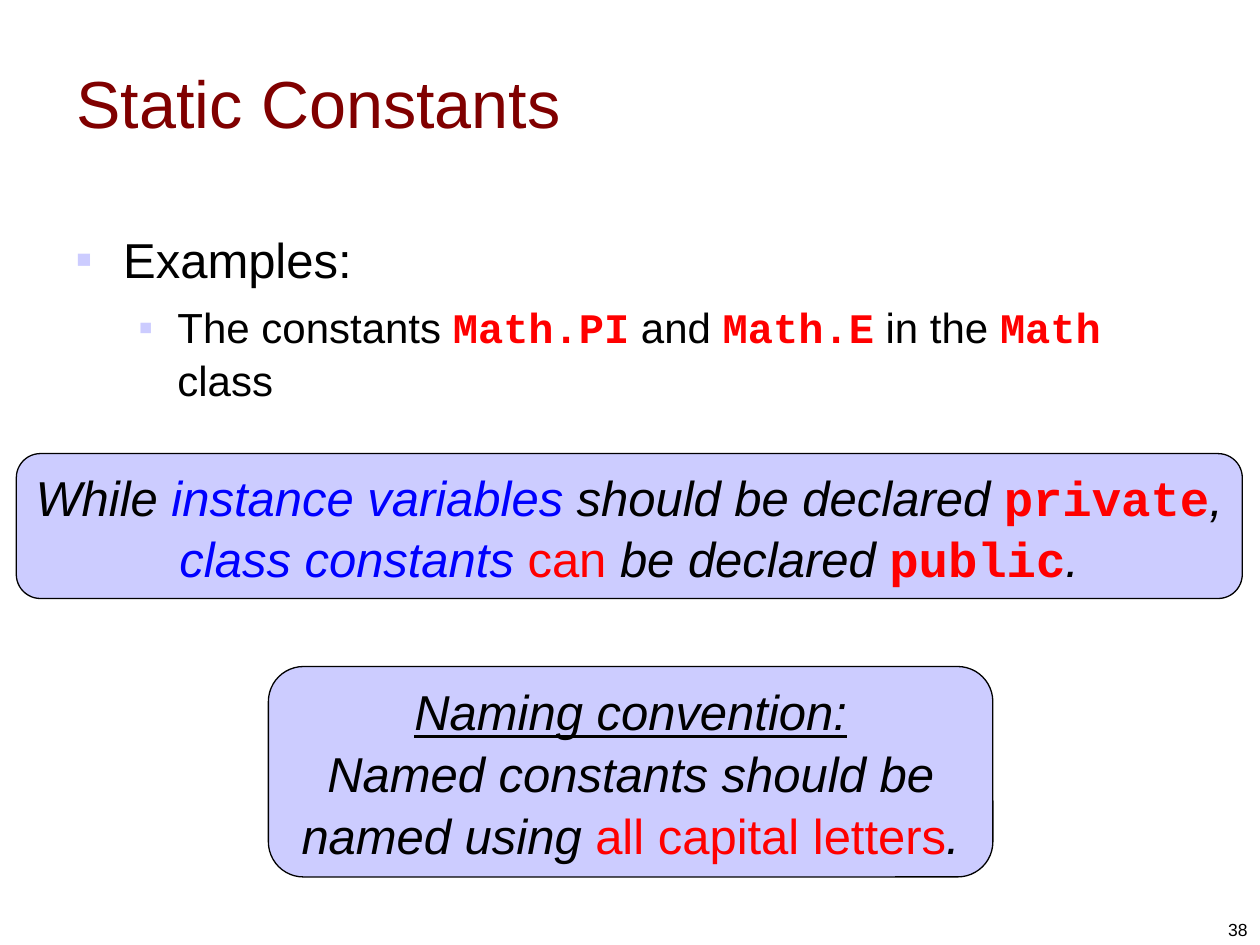
import pptx
import pptx.util
import pptx.dml.color
import pptx.enum.shapes
import pptx.enum.text
import lxml.etree
import pptx.oxml.ns

RGB = pptx.dml.color.RGBColor
ALIGN = pptx.enum.text.PP_ALIGN
ANCHOR = pptx.enum.text.MSO_ANCHOR
BLACK = RGB(0, 0, 0)
MAROON = RGB(0x80, 0, 0)
RED = RGB(0xFF, 0, 0)
BLUE = RGB(0, 0, 0xFF)
LILAC = RGB(0xCC, 0xCC, 0xFF)
SCALE = 9144  # EMU per px, 100 px to the inch

# Run formats, each laid over the base of its text
PLAIN = {}
CODE = {"name": "Courier New", "bold": True, "italic": False, "color": RED}
TERM = {"color": BLUE}
ALERT = {"color": RED, "italic": False}
UNDER = {"underline": True}


class Deck:
    def __init__(self):
        self.prs = pptx.Presentation()
        self.prs.slide_width = 1000 * SCALE
        self.prs.slide_height = 750 * SCALE
        self.slide = self.prs.slides.add_slide(self.prs.slide_layouts[6])
        self.base = {"name": "Arial", "color": BLACK}

    def place(self, box):
        return [n * SCALE for n in box]

    def frame(self, shape, anchor, wrap=True):
        frame = shape.text_frame
        frame.word_wrap = wrap
        frame.vertical_anchor = anchor
        return frame

    def add_runs(self, para, runs, **look):
        for text, extra in runs:
            run = para.add_run()
            run.text = text
            for key, val in {**self.base, **look, **extra}.items():
                if key == "color":
                    run.font.color.rgb = val
                else:
                    setattr(run.font, key, val)

    def label(self, box, text, size, color=BLACK, anchor=ANCHOR.MIDDLE,
              align=ALIGN.LEFT):
        shape = self.slide.shapes.add_textbox(*self.place(box))
        para = self.frame(shape, anchor).paragraphs[0]
        para.alignment = align
        self.add_runs(para, [(text, PLAIN)], size=pptx.util.Pt(size),
                      color=color)

    def mark(self, para, left, hang):
        props = para._p.get_or_add_pPr()
        props.set("marL", str(left * SCALE))
        props.set("indent", str(-hang * SCALE))
        qn = pptx.oxml.ns.qn
        tint = lxml.etree.SubElement(props, qn("a:buClr"))
        lxml.etree.SubElement(tint, qn("a:srgbClr"), val=str(LILAC))
        lxml.etree.SubElement(props, qn("a:buFont"), typeface="Arial")
        lxml.etree.SubElement(props, qn("a:buChar"), char="▪")

    def bullets(self, box, items):
        shape = self.slide.shapes.add_textbox(*self.place(box))
        frame = self.frame(shape, ANCHOR.TOP)
        for num, (size, left, hang, runs) in enumerate(items):
            para = frame.add_paragraph() if num else frame.paragraphs[0]
            para.level = num
            self.mark(para, left, hang)
            para.line_spacing = 1.05
            if num:
                para.space_before = pptx.util.Pt(6)
            self.add_runs(para, runs, size=pptx.util.Pt(size))

    def panel(self, box, lines, wrap=True):
        kind = pptx.enum.shapes.MSO_SHAPE.ROUNDED_RECTANGLE
        shape = self.slide.shapes.add_shape(kind, *self.place(box))
        shape.shadow.inherit = False
        shape.fill.solid()
        shape.fill.fore_color.rgb = LILAC
        shape.line.color.rgb = BLACK
        shape.line.width = pptx.util.Pt(0.75)
        frame = self.frame(shape, ANCHOR.MIDDLE, wrap)
        for num, runs in enumerate(lines):
            para = frame.add_paragraph() if num else frame.paragraphs[0]
            para.alignment = ALIGN.CENTER
            para.line_spacing = 1.05
            self.add_runs(para, runs, size=pptx.util.Pt(28), italic=True)


def main():
    deck = Deck()

    # Title
    deck.label((51, 18, 900, 125), "Static Constants", 38, MAROON)

    # Examples
    deck.bullets((50, 175, 900, 495), [
        (28, 38, 38, [("Examples:", PLAIN)]),
        (24, 81, 31, [("The constants ", PLAIN), ("Math.PI", CODE),
                      (" and ", PLAIN), ("Math.E", CODE),
                      (" in the ", PLAIN), ("Math", CODE),
                      (" class", PLAIN)]),
    ])

    # Access rule
    deck.panel((13, 360, 973, 115), [
        [("While ", PLAIN), ("instance variables", TERM),
         (" should be declared ", PLAIN), ("private", CODE), (",", PLAIN)],
        [("class constants ", TERM), ("can", ALERT),
         (" be declared ", PLAIN), ("public", CODE), (".", PLAIN)],
    ], wrap=False)

    # Naming rule
    deck.panel((213, 529, 575, 167), [
        [("Naming convention:", UNDER)],
        [("Named constants should be named using ", PLAIN),
         ("all capital letters", ALERT), (".", PLAIN)],
    ])

    # Page number
    deck.label((767, 701, 233, 50), "38", 10, anchor=ANCHOR.BOTTOM,
               align=ALIGN.RIGHT)

    deck.prs.save("out.pptx")


if __name__ == "__main__":
    main()
